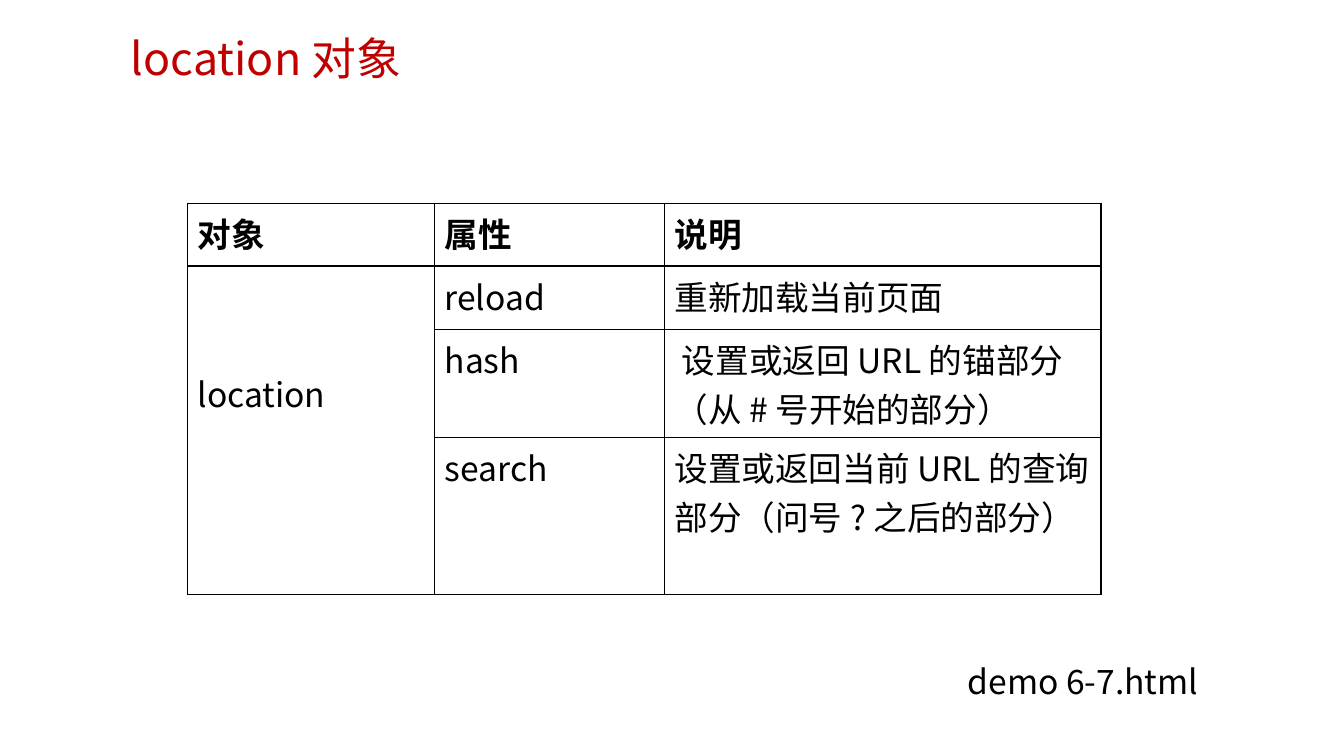
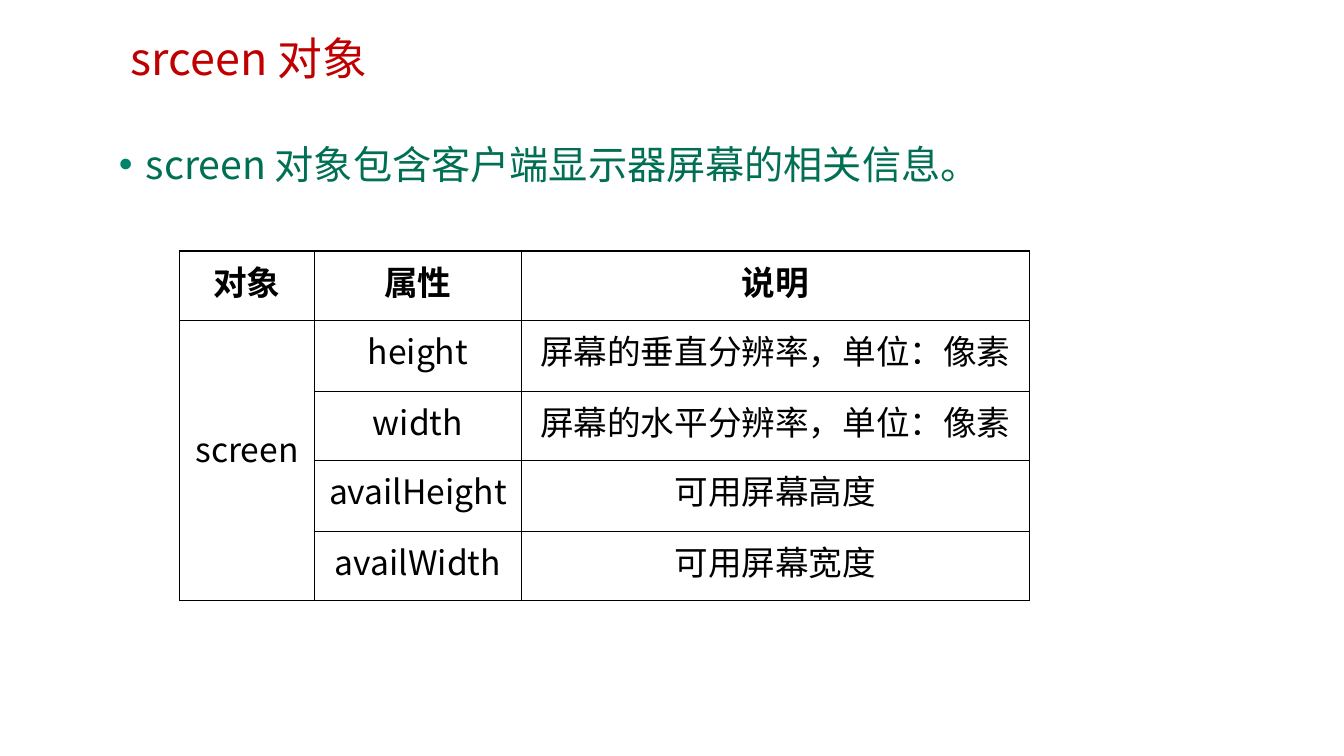
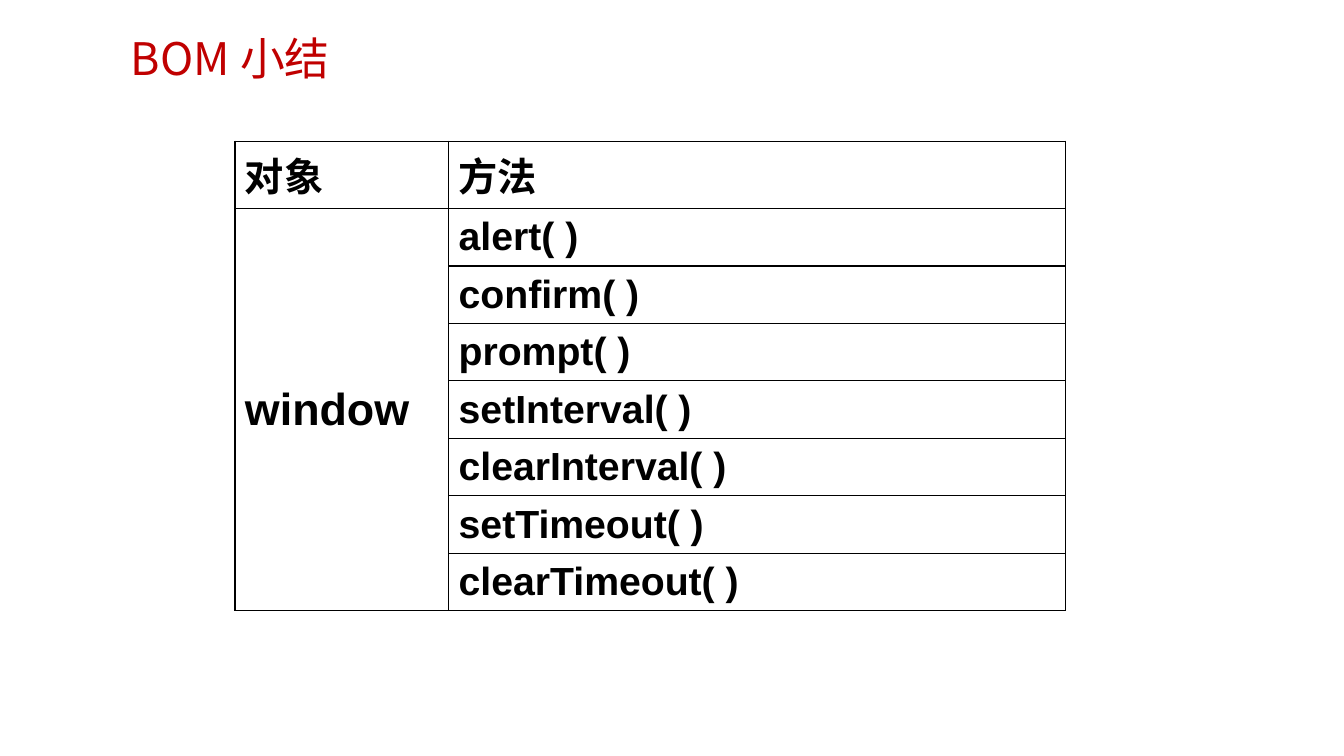
from dataclasses import dataclass

from lxml.etree import SubElement
from pptx import Presentation
from pptx.dml.color import RGBColor
from pptx.enum.text import MSO_ANCHOR as Anchor, MSO_AUTO_SIZE as AutoSize, PP_ALIGN as Align
from pptx.oxml.ns import qn
from pptx.util import Pt

EMU_PER_PX = 9144
SANS = "Noto Sans CJK SC"
ARIAL = "Arial"
BLACK = RGBColor(0x00, 0x00, 0x00)
RED = RGBColor(0xC0, 0x00, 0x00)
GREEN = RGBColor(0x00, 0x6F, 0x53)
BULLET_GREEN = RGBColor(0x00, 0x84, 0x69)


@dataclass(frozen=True)
class Box:
    left: int
    top: int
    width: int
    height: int

    def emu(self) -> tuple[int, ...]:
        return tuple(map(px, (self.left, self.top, self.width, self.height)))


@dataclass(frozen=True)
class ObjectTable:
    left: int
    top: int
    cols: tuple[int, ...]
    heights: tuple[int, ...]
    header: tuple[str, ...]
    name: str
    rows: tuple[tuple[str, ...], ...]
    size: int = 24
    name_size: int = 24
    font: str = SANS
    bold: bool = False
    align: Align = Align.LEFT
    anchor: Anchor = Anchor.TOP
    name_inset: int = 5


TITLE_BOX = Box(120, 26, 896, 54)
BODY_BOX = Box(108, 111, 1012, 508)
DEMO_BOX = Box(950, 651, 291, 50)

LOCATION = ObjectTable(
    186, 202, (245, 228, 433), (62, 63, 107, 156), ("对象", "属性", "说明"), "location",
    (
        ("reload", "重新加载当前页面"),
        ("hash", " 设置或返回 URL 的锚部分（从 # 号开始的部分）"),
        ("search", "设置或返回当前 URL 的查询部分（问号 ? 之后的部分）"),
    ),
    name_inset=102,
)
SCREEN = ObjectTable(
    178, 249, (134, 205, 504), (69, 70, 69, 70, 69), ("对象", "属性", "说明"), "screen",
    (
        ("height", "屏幕的垂直分辨率，单位：像素"),
        ("width", "屏幕的水平分辨率，单位：像素"),
        ("availHeight", "可用屏幕高度"),
        ("availWidth", "可用屏幕宽度"),
    ),
    align=Align.CENTER, name_inset=102,
)
METHODS = ("alert", "confirm", "prompt", "setInterval", "clearInterval",
           "setTimeout", "clearTimeout")
WINDOW = ObjectTable(
    233, 140, (212, 612), (67,) + (57,) * len(METHODS), ("对象", "方法"), "window",
    tuple((f"{method}( )",) for method in METHODS),
    size=28, name_size=32, font=ARIAL, bold=True, anchor=Anchor.MIDDLE,
)


def px(length: int) -> int:
    return length * EMU_PER_PX


def write_text(tf, text: str, *, size: int, font: str = SANS, color: RGBColor = BLACK,
               bold: bool = False, align: Align = Align.LEFT, spacing: float = 1.0,
               bullet: str = "") -> None:
    p = tf.paragraphs[0]
    p.alignment = align
    p.line_spacing = spacing
    if bullet:
        pPr = p._p.get_or_add_pPr()
        pPr.set("marL", str(px(18)))
        pPr.set("indent", str(px(-18)))
        bu_color = SubElement(pPr, qn("a:buClr"))
        SubElement(bu_color, qn("a:srgbClr"), val=str(BULLET_GREEN))
        SubElement(pPr, qn("a:buFont"), typeface=ARIAL)
        SubElement(pPr, qn("a:buChar"), char=bullet)
    r = p.add_run()
    r.text = text
    r.font.size = Pt(size)
    r.font.bold = bold
    r.font.color.rgb = color
    r.font.name = font
    SubElement(r._r.get_or_add_rPr(), qn("a:ea"), typeface=SANS)


def add_text(s, box: Box, text: str, *, grow: bool = False, **fmt) -> None:
    tf = s.shapes.add_textbox(*box.emu()).text_frame
    tf.word_wrap = True
    if grow:
        tf.auto_size = AutoSize.SHAPE_TO_FIT_TEXT
    write_text(tf, text, **fmt)


def add_title(s, text: str) -> None:
    add_text(s, TITLE_BOX, text, size=32, color=RED)


def style_cell(cell) -> None:
    tcPr = cell._tc.get_or_add_tcPr()
    for side in ("lnL", "lnR", "lnT", "lnB"):
        ln = SubElement(tcPr, qn(f"a:{side}"), w=str(Pt(1)))
        fill = SubElement(ln, qn("a:solidFill"))
        SubElement(fill, qn("a:srgbClr"), val=str(BLACK))
    cell.fill.background()


def add_object_table(s, spec: ObjectTable) -> None:
    n_rows, n_cols = len(spec.heights), len(spec.cols)
    box = Box(spec.left, spec.top, sum(spec.cols), sum(spec.heights))
    table = s.shapes.add_table(n_rows, n_cols, *box.emu()).table
    table.first_row = table.horz_banding = False
    for col, width in zip(table.columns, spec.cols):
        col.width = px(width)
    for row, height in zip(table.rows, spec.heights):
        row.height = px(height)
        for cell in row.cells:
            style_cell(cell)

    for col, text in enumerate(spec.header):
        write_text(table.cell(0, col).text_frame, text, size=spec.size, font=ARIAL,
                   bold=True, align=spec.align)

    body = {"font": spec.font, "bold": spec.bold, "align": spec.align}
    name = table.cell(1, 0)
    name.merge(table.cell(n_rows - 1, 0))
    name.vertical_anchor = spec.anchor
    name.margin_top = px(spec.name_inset)
    write_text(name.text_frame, spec.name, size=spec.name_size, **body)
    for i, texts in enumerate(spec.rows, 1):
        for col, text in enumerate(texts, 1):
            cell = table.cell(i, col)
            cell.vertical_anchor = spec.anchor
            write_text(cell.text_frame, text, size=spec.size, **body)


def main() -> None:
    prs = Presentation()
    prs.slide_width, prs.slide_height = px(1333), px(750)
    blank = prs.slide_layouts[6]

    s = prs.slides.add_slide(blank)
    add_title(s, "location 对象")
    add_object_table(s, LOCATION)
    add_text(s, DEMO_BOX, "demo 6-7.html", size=24, grow=True)

    s = prs.slides.add_slide(blank)
    add_text(s, BODY_BOX, " screen 对象包含客户端显示器屏幕的相关信息。", size=28,
             color=GREEN, spacing=1.5, bullet="•")
    add_title(s, "srceen 对象")
    add_object_table(s, SCREEN)

    s = prs.slides.add_slide(blank)
    add_object_table(s, WINDOW)
    add_title(s, "BOM 小结")

    prs.save("out.pptx")


if __name__ == "__main__":
    main()
